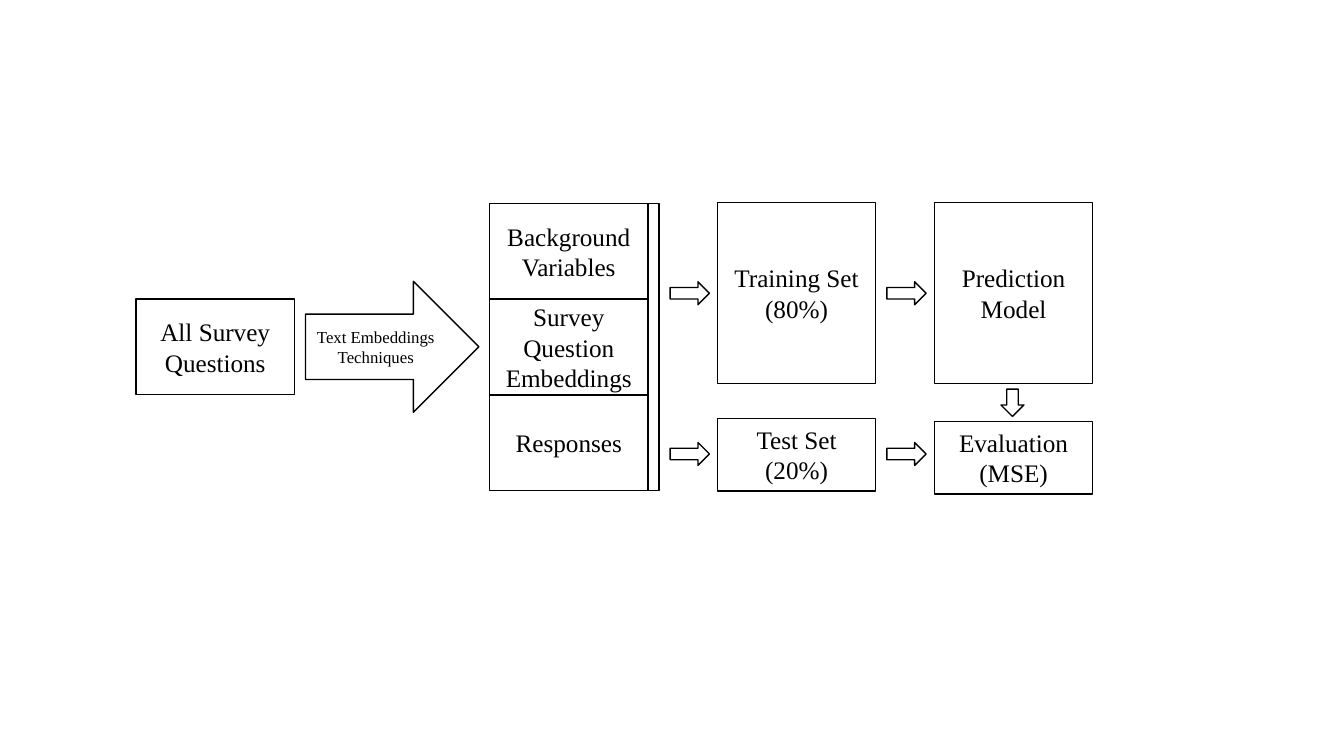
import pptx
import pptx.dml.color
import pptx.enum.shapes
import pptx.enum.text
import pptx.util

Cm = pptx.util.Cm
Pt = pptx.util.Pt
SHAPE = pptx.enum.shapes.MSO_SHAPE
BLACK = pptx.dml.color.RGBColor(0x00, 0x00, 0x00)

BOX_WIDTH = 3.99
DATA_HEIGHT = 2.41
SET_HEIGHT = 4.55
RESULT_HEIGHT = 1.83
DATA_LEFT, DATA_TOP = 12.34, 5.13
SETS_LEFT, MODEL_LEFT, UPPER_TOP = 18.08, 23.55, 5.11


class FlowDiagram:
    """Holds the diagram's style and the current slide."""

    font_name = "Times New Roman"
    line_width = Pt(1)

    def __init__(self, slide):
        """Keep the slide that receives the elements."""
        self.slide = slide

    def outline(self, kind, left, top, width, height, text="", size=18):
        """Add an unfilled preset shape with centred text."""
        shape = self.slide.shapes.add_shape(
            kind, Cm(left), Cm(top), Cm(width), Cm(height))
        shape.shadow.inherit = False
        shape.fill.background()
        shape.line.color.rgb = BLACK
        shape.line.width = self.line_width
        if text:
            self.label(shape.text_frame, text, size)
        return shape

    def label(self, text_frame, text, size):
        """Set and format the text of a shape."""
        text_frame.text = text
        text_frame.word_wrap = True
        text_frame.vertical_anchor = pptx.enum.text.MSO_ANCHOR.MIDDLE
        paragraph = text_frame.paragraphs[0]
        paragraph.alignment = pptx.enum.text.PP_ALIGN.CENTER
        for run in paragraph.runs:
            run.font.name = self.font_name
            run.font.size = Pt(size)
            run.font.color.rgb = BLACK

    def box(self, left, top, height, text="", width=BOX_WIDTH):
        """Add a rectangular step."""
        return self.outline(SHAPE.RECTANGLE, left, top, width, height, text)

    def arrow(self, left, top, width=0.99, height=0.58, text="", rotation=0):
        """Add a block arrow, pointing right unless rotated."""
        shape = self.outline(
            SHAPE.RIGHT_ARROW, left, top, width, height, text, size=12)
        shape.rotation = rotation
        return shape


presentation = pptx.Presentation()
presentation.slide_width = Cm(33.87)
presentation.slide_height = Cm(19.05)
blank_layout = presentation.slide_layouts[6]
diagram = FlowDiagram(presentation.slides.add_slide(blank_layout))

diagram.box(3.43, DATA_TOP + DATA_HEIGHT, DATA_HEIGHT, "All Survey Questions")

data_parts = ["Background Variables", "Survey Question Embeddings", "Responses"]
for row, part in enumerate(data_parts):
    diagram.box(DATA_LEFT, DATA_TOP + row * DATA_HEIGHT, DATA_HEIGHT, part)
diagram.box(DATA_LEFT + BOX_WIDTH, DATA_TOP, len(data_parts) * DATA_HEIGHT,
            width=0.28)

diagram.box(SETS_LEFT, UPPER_TOP, SET_HEIGHT, "Training Set (80%)")
diagram.box(SETS_LEFT, 10.54, RESULT_HEIGHT, "Test Set (20%)")
diagram.box(MODEL_LEFT, UPPER_TOP, SET_HEIGHT, "Prediction Model")
diagram.box(MODEL_LEFT, 10.62, RESULT_HEIGHT, "Evaluation (MSE)")

diagram.arrow(7.7, 7.09, 4.37, 3.3, "Text Embeddings Techniques")
for arrow_left in (16.89, 22.35):
    for arrow_top in (7.1, 11.15):
        diagram.arrow(arrow_left, arrow_top)
diagram.arrow(25.17, 9.86, width=0.69, rotation=90)

presentation.save("out.pptx")
